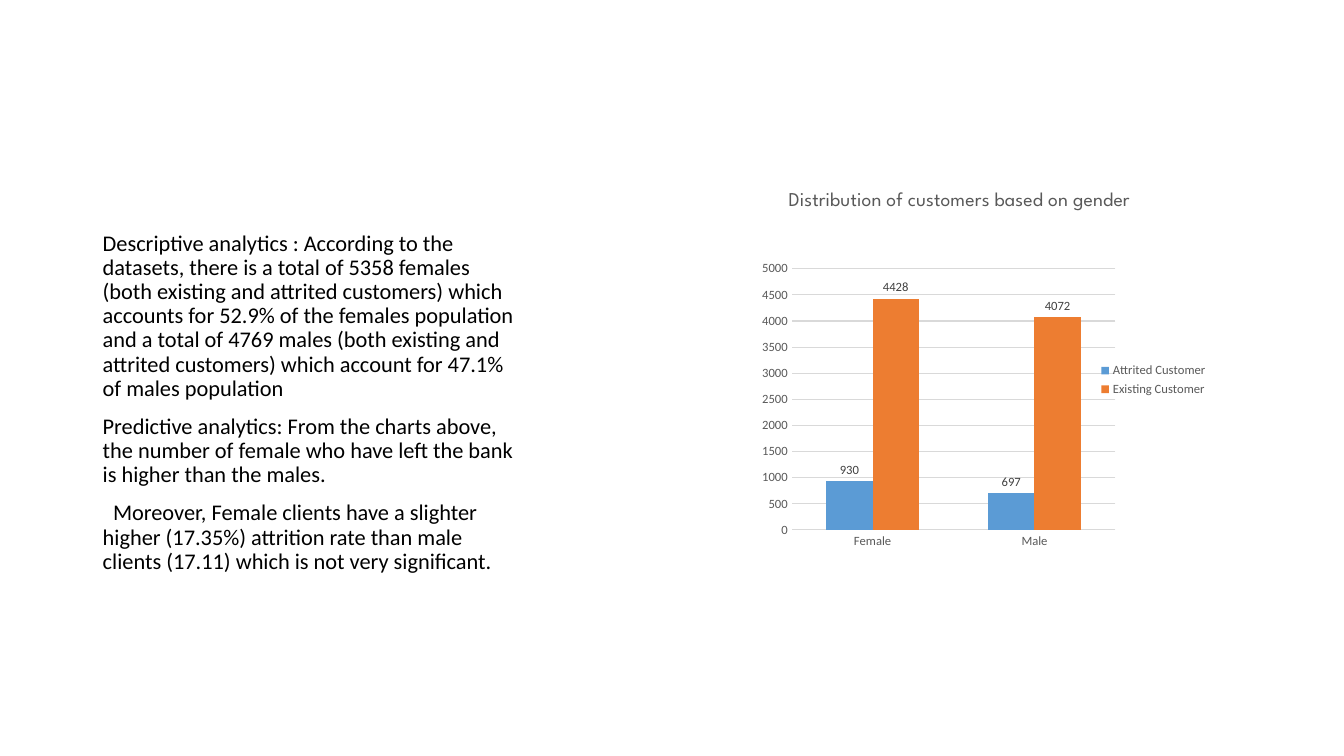
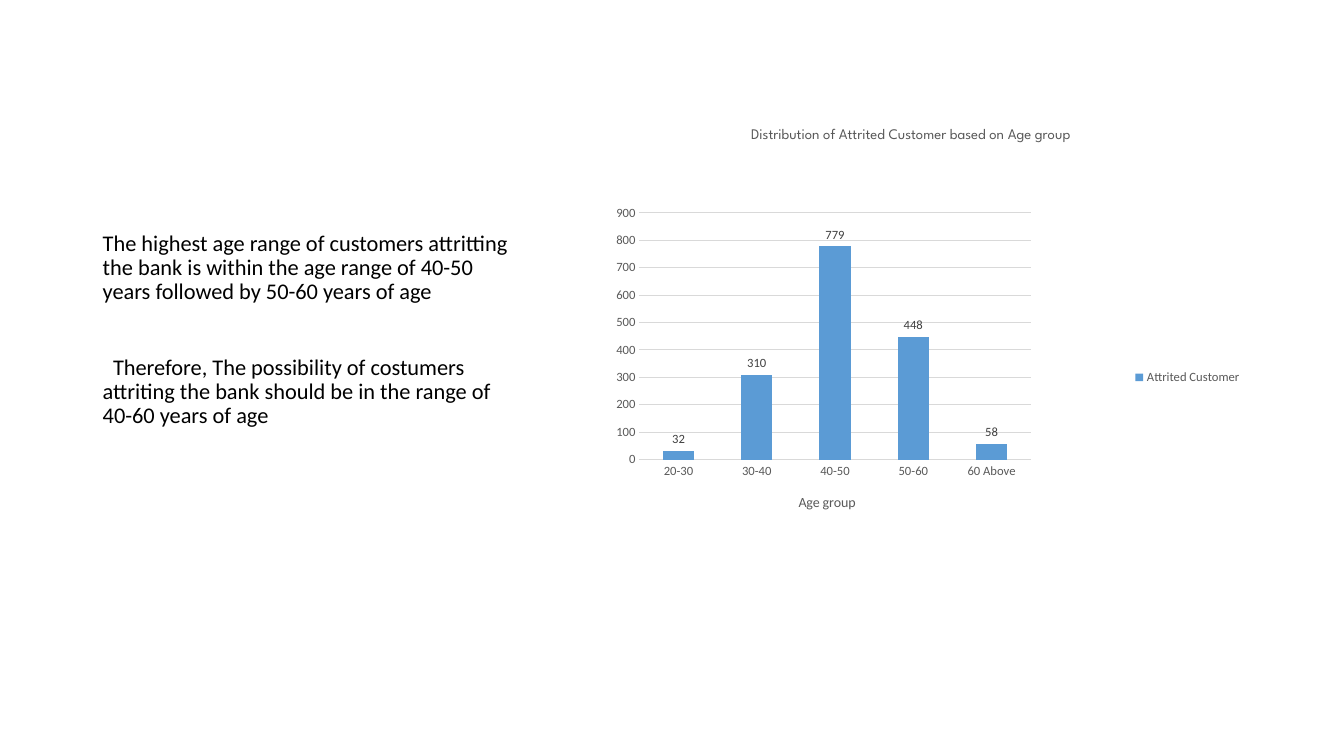
"""Build two slides that pair analysis text with a column chart."""
from dataclasses import dataclass

from lxml.etree import SubElement
from pptx import Presentation
from pptx.chart.data import CategoryChartData
from pptx.dml.color import RGBColor
from pptx.enum.chart import XL_CHART_TYPE, XL_LABEL_POSITION, XL_LEGEND_POSITION, XL_TICK_MARK
from pptx.oxml.ns import qn
from pptx.util import Cm, Pt


@dataclass(frozen=True)
class Theme:
    """Colours, fonts and type sizes shared by the slides."""

    black: RGBColor = RGBColor(0x00, 0x00, 0x00)
    grey: RGBColor = RGBColor(0x59, 0x59, 0x59)
    label: RGBColor = RGBColor(0x40, 0x40, 0x40)
    grid: RGBColor = RGBColor(0xD9, 0xD9, 0xD9)
    series: tuple = (RGBColor(0x5B, 0x9B, 0xD5), RGBColor(0xED, 0x7D, 0x31))
    body_font: str = "Calibri"
    title_font: str = "League Spartan"
    body_size: float = 16
    axis_title_size: float = 10
    chart_size: float = 9


@dataclass(frozen=True)
class Box:
    """A region of the slide in centimetres."""

    left: float
    top: float
    width: float
    height: float

    def lengths(self):
        """Return left, top, width and height as lengths."""
        return Cm(self.left), Cm(self.top), Cm(self.width), Cm(self.height)


@dataclass(frozen=True)
class ColumnChart:
    """Content and inner layout of one column chart."""

    title: str
    title_size: float
    title_place: tuple
    plot_place: tuple
    categories: tuple
    series: dict
    maximum: int
    step: int
    axis_title: str = ""
    axis_title_place: tuple = ()


THEME = Theme()
BODY_BOX = Box(2.34, 5.72, 10.92, 10.59)
FIRST_LINE_INDENT = Cm(0.26)
PARAGRAPH_GAP = 10
WIDE_GAP = 37

GENDER_TEXT = (
    ("Descriptive analytics : According to the datasets, there is a total of 5358 females "
     "(both existing and attrited customers) which accounts for 52.9% of the females population "
     "and a total of 4769 males (both existing and attrited customers) which account for 47.1% "
     "of males population", PARAGRAPH_GAP, 0),
    ("Predictive analytics: From the charts above, the number of female who have left the bank "
     "is higher than the males.", PARAGRAPH_GAP, 0),
    ("Moreover, Female clients have a slighter higher (17.35%) attrition rate than male clients "
     "(17.11) which is not very significant.", PARAGRAPH_GAP, FIRST_LINE_INDENT),
)
AGE_TEXT = (
    ("The highest age range of customers attritting the bank is within the age range of 40-50 "
     "years followed by 50-60 years of age", PARAGRAPH_GAP, 0),
    ("Therefore, The possibility of costumers attriting the bank should be in the range of "
     "40-60 years of age", WIDE_GAP, FIRST_LINE_INDENT),
)
GENDER_CHART = ColumnChart(
    title="Distribution of customers based on gender",
    title_size=14,
    title_place=(0.15, 0.02),
    plot_place=(0.163, 0.223, 0.636, 0.651),
    categories=("Female", "Male"),
    series={"Attrited Customer": (930, 697), "Existing Customer": (4428, 4072)},
    maximum=5000,
    step=500,
)
AGE_CHART = ColumnChart(
    title="Distribution of Attrited Customer based on Age group",
    title_size=10.5,
    title_place=(0.26, 0.03),
    plot_place=(0.1, 0.194, 0.575, 0.459),
    categories=("20-30", "30-40", "40-50", "50-60", "60 Above"),
    series={"Attrited Customer": (32, 310, 779, 448, 58)},
    maximum=900,
    step=100,
    axis_title="Age group",
    axis_title_place=(0.33, 0.71),
)


def style_font(font, size, colour, name=THEME.body_font):
    """Apply a plain face, size and colour to a font."""
    font.name = name
    font.size = Pt(size)
    font.bold = False
    font.color.rgb = colour


def place_part(parent, fractions, inner=False):
    """Fix a chart part at fractions of the chart area."""
    layout = parent.find(qn("c:layout"))
    if layout is None:
        layout = SubElement(parent, qn("c:layout"))
        parent.insert(0 if inner else 1, layout)
    manual = SubElement(layout, qn("c:manualLayout"))
    names = ("x", "y", "w", "h")[:len(fractions)]
    if inner:
        SubElement(manual, qn("c:layoutTarget")).set("val", "inner")
    for name in names:
        SubElement(manual, qn(f"c:{name}Mode")).set("val", "edge" if name in "xy" else "factor")
    for name, fraction in zip(names, fractions):
        SubElement(manual, qn(f"c:{name}")).set("val", str(fraction))


def write_title(title, text, place, size, font_name):
    """Fill, style and place a chart title or axis title."""
    title.text_frame.text = text
    style_font(title.text_frame.paragraphs[0].runs[0].font, size, THEME.grey, font_name)
    place_part(title.element, place)


def add_body(page, box, paragraphs):
    """Add the analysis text inside the given box."""
    frame = page.shapes.add_textbox(*box.lengths()).text_frame
    frame.word_wrap = True
    frame.text = "\n".join(text for text, gap, indent in paragraphs)
    for paragraph, (text, gap, indent) in zip(frame.paragraphs, paragraphs):
        paragraph.line_spacing = 0.9
        paragraph.space_before = Pt(gap)
        if indent:
            paragraph._p.get_or_add_pPr().set("indent", str(indent))
        for span in paragraph.runs:
            style_font(span.font, THEME.body_size, THEME.black)


def style_axes(chart, content):
    """Style both axes and the gridlines of a chart."""
    for axis in (chart.category_axis, chart.value_axis):
        axis.major_tick_mark = axis.minor_tick_mark = XL_TICK_MARK.NONE
        axis.format.line.fill.background()
        style_font(axis.tick_labels.font, THEME.chart_size, THEME.grey)
    value_axis = chart.value_axis
    value_axis.minimum_scale = 0
    value_axis.maximum_scale = content.maximum
    value_axis.major_unit = content.step
    value_axis.major_gridlines.format.line.color.rgb = THEME.grid
    value_axis.major_gridlines.format.line.width = Pt(0.75)
    if content.axis_title:
        write_title(chart.category_axis.axis_title, content.axis_title,
                    content.axis_title_place, THEME.axis_title_size, THEME.body_font)


def style_columns(plot):
    """Colour the columns and show their values."""
    plot.gap_width = 150
    plot.overlap = 0
    plot.vary_by_categories = False
    for series, colour in zip(plot.series, THEME.series):
        series.format.fill.solid()
        series.format.fill.fore_color.rgb = colour
        labels = series.data_labels
        labels.show_value = True
        labels.position = XL_LABEL_POSITION.OUTSIDE_END
        style_font(labels.font, THEME.chart_size, THEME.label)


def add_column_chart(page, box, content):
    """Add a titled column chart inside the given box."""
    data = CategoryChartData()
    data.categories = content.categories
    for name, values in content.series.items():
        data.add_series(name, values)
    chart = page.shapes.add_chart(XL_CHART_TYPE.COLUMN_CLUSTERED, *box.lengths(), data).chart
    style_font(chart.font, THEME.axis_title_size, THEME.black)
    chart.has_title = True
    write_title(chart.chart_title, content.title, content.title_place,
                content.title_size, THEME.title_font)
    chart.has_legend = True
    chart.legend.position = XL_LEGEND_POSITION.RIGHT
    chart.legend.include_in_layout = False
    style_font(chart.legend.font, THEME.chart_size, THEME.grey)
    style_axes(chart, content)
    style_columns(chart.plots[0])
    place_part(chart.element.find(".//" + qn("c:plotArea")), content.plot_place, inner=True)


def add_analysis_page(deck, paragraphs, chart_box, content):
    """Add a slide with text on the left and a chart on the right."""
    page = deck.slides.add_slide(deck.slide_layouts[6])
    add_body(page, BODY_BOX, paragraphs)
    add_column_chart(page, chart_box, content)


def main():
    """Build and save the deck."""
    deck = Presentation()
    deck.slide_width, deck.slide_height = Cm(33.87), Cm(19.05)
    add_analysis_page(deck, GENDER_TEXT, Box(17.86, 4.52, 12.83, 10.11), GENDER_CHART)
    add_analysis_page(deck, AGE_TEXT, Box(14.4, 2.74, 17.15, 13.54), AGE_CHART)
    deck.save("out.pptx")


if __name__ == "__main__":
    main()
